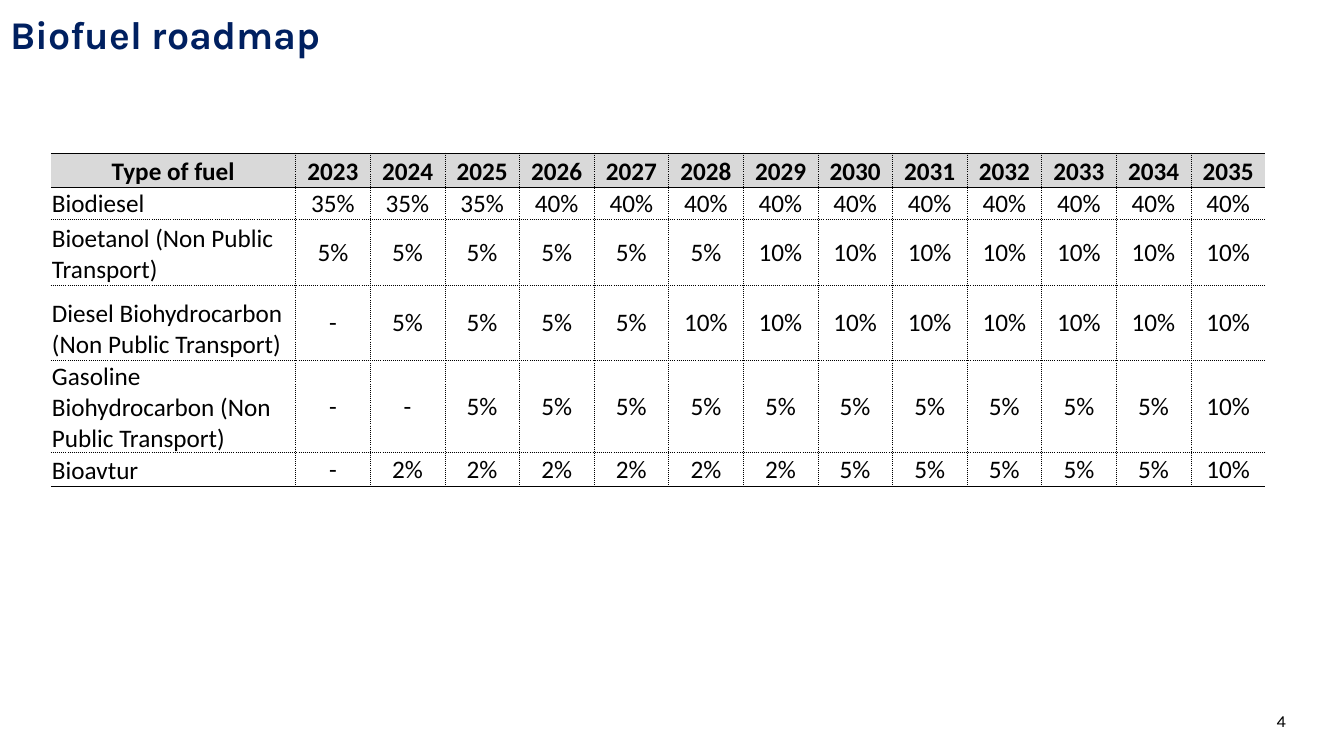
from lxml.etree import SubElement
from pptx import Presentation
from pptx.dml.color import RGBColor
from pptx.enum.text import MSO_ANCHOR, MSO_AUTO_SIZE, PP_ALIGN
from pptx.oxml.ns import qn
from pptx.util import Cm, Pt

COLORS = {"title": "002060", "text": "000000", "header": "D9D9D9", "border": "000000"}

TITLE_FORMAT = {"name": "Karla", "size": Pt(28), "bold": True}
NUMBER_FORMAT = {"name": "Karla", "size": Pt(12), "bold": False}
HEADER_FORMAT = {"name": "Calibri", "size": Pt(18), "bold": True}
BODY_FORMAT = {"name": "Calibri", "size": Pt(18), "bold": False}
CELL_MARGINS = {"margin_left": Cm(0.03), "margin_right": Cm(0.03),
                "margin_top": Cm(0.03), "margin_bottom": 0}

SOLID, DOTTED, NO_LINE = (1, "solid"), (0.5, "sysDot"), None

YEARS = range(2023, 2036)
# Each fuel has (share, number of years) runs
FUELS = {
    "Biodiesel": [("35%", 3), ("40%", 10)],
    "Bioetanol (Non Public Transport)": [("5%", 6), ("10%", 7)],
    "Diesel Biohydrocarbon (Non Public Transport)": [("-", 1), ("5%", 4), ("10%", 8)],
    "Gasoline Biohydrocarbon (Non Public Transport)": [("-", 2), ("5%", 10), ("10%", 1)],
    "Bioavtur": [("-", 1), ("2%", 6), ("5%", 5), ("10%", 1)],
}
ROW_HEIGHTS = [0.86, 0.81, 1.65, 1.9, 2.31, 0.86]
FUEL_WIDTH, YEAR_WIDTH = 6.17, 1.88


def set_attributes(target, values):
    for name, value in values.items():
        setattr(target, name, value)


def write_text(frame, text, font_format, color, align):
    para = frame.paragraphs[0]
    para.alignment = align
    span = para.add_run()
    span.text = text
    set_attributes(span.font, font_format)
    span.font.color.rgb = RGBColor.from_string(COLORS[color])
    return para


def add_title(page, text):
    title = page.shapes.title
    set_attributes(title, {"left": 0, "top": Cm(0.08), "width": Cm(31.47), "height": Cm(1.5)})
    set_attributes(title.text_frame, {"vertical_anchor": MSO_ANCHOR.BOTTOM,
                                      "auto_size": MSO_AUTO_SIZE.NONE, "word_wrap": True})
    para = write_text(title.text_frame, text, TITLE_FORMAT, "title", PP_ALIGN.LEFT)
    para.line_spacing = 0.9


def add_page_number(page, text):
    box = page.shapes.add_textbox(Cm(25.04), Cm(17.65), Cm(7.62), Cm(1.02))
    set_attributes(box.text_frame, {"vertical_anchor": MSO_ANCHOR.MIDDLE, "word_wrap": True})
    write_text(box.text_frame, text, NUMBER_FORMAT, "text", PP_ALIGN.RIGHT)


def set_borders(cell, borders):
    properties = cell._tc.get_or_add_tcPr()
    for side in "LRTB":
        line = SubElement(properties, qn(f"a:ln{side}"))
        if borders[side] is NO_LINE:
            SubElement(line, qn("a:noFill"))
            continue
        width, dash = borders[side]
        line.set("w", str(int(Pt(width))))
        fill = SubElement(line, qn("a:solidFill"))
        SubElement(fill, qn("a:srgbClr")).set("val", COLORS["border"])
        SubElement(line, qn("a:prstDash")).set("val", dash)


def format_cell(cell, text, row, column):
    is_header, is_fuel = row == 0, column == 0
    set_attributes(cell, CELL_MARGINS)
    cell.vertical_anchor = MSO_ANCHOR.BOTTOM if is_header or is_fuel else MSO_ANCHOR.MIDDLE
    align = PP_ALIGN.LEFT if is_fuel and not is_header else PP_ALIGN.CENTER
    write_text(cell.text_frame, text, HEADER_FORMAT if is_header else BODY_FORMAT, "text", align)

    # Solid rules frame the header and close the table
    set_borders(cell, {
        "L": NO_LINE if is_fuel else DOTTED,
        "R": NO_LINE if column == len(YEARS) else DOTTED,
        "T": SOLID if row <= 1 else DOTTED,
        "B": SOLID if row in (0, len(FUELS)) else DOTTED,
    })
    if is_header:
        cell.fill.solid()
        cell.fill.fore_color.rgb = RGBColor.from_string(COLORS["header"])
    else:
        cell.fill.background()


def add_roadmap_table(page):
    rows = [["Type of fuel", *map(str, YEARS)]]
    for fuel, runs in FUELS.items():
        rows.append([fuel] + [share for share, count in runs for _ in range(count)])

    widths = [FUEL_WIDTH] + [YEAR_WIDTH] * len(YEARS)
    frame = page.shapes.add_table(len(rows), len(widths), Cm(1.28), Cm(3.86),
                                  Cm(sum(widths)), Cm(sum(ROW_HEIGHTS)))
    table = frame.table
    set_attributes(table, {"first_row": False, "horz_banding": False})
    for column, width in zip(table.columns, widths):
        column.width = Cm(width)
    for row, height in zip(table.rows, ROW_HEIGHTS):
        row.height = Cm(height)
    for row, texts in enumerate(rows):
        for column, text in enumerate(texts):
            format_cell(table.cell(row, column), text, row, column)


def main():
    deck = Presentation()
    set_attributes(deck, {"slide_width": Cm(33.87), "slide_height": Cm(19.05)})
    page = deck.slides.add_slide(deck.slide_layouts[5])

    # Heading and page number
    add_title(page, "Biofuel roadmap")
    add_page_number(page, "4")

    # Blending shares by fuel and year
    add_roadmap_table(page)

    deck.save("out.pptx")


if __name__ == "__main__":
    main()
